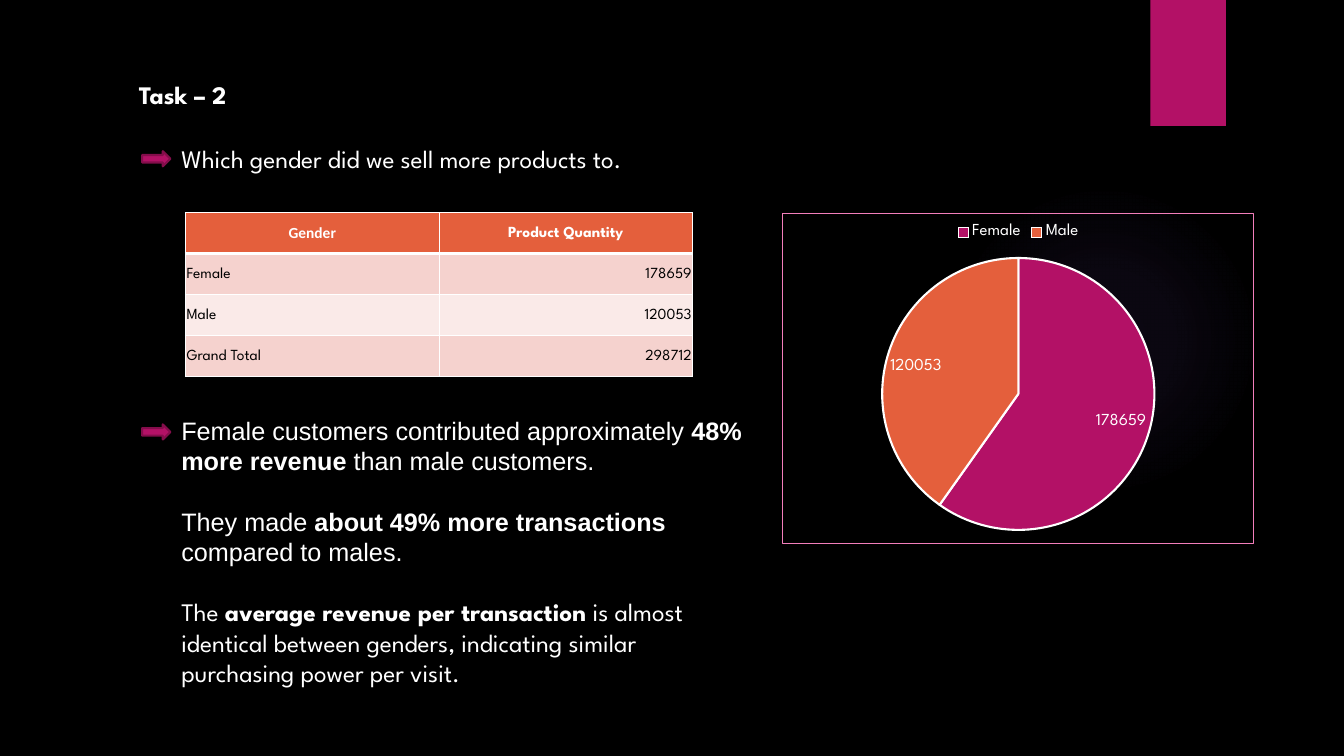
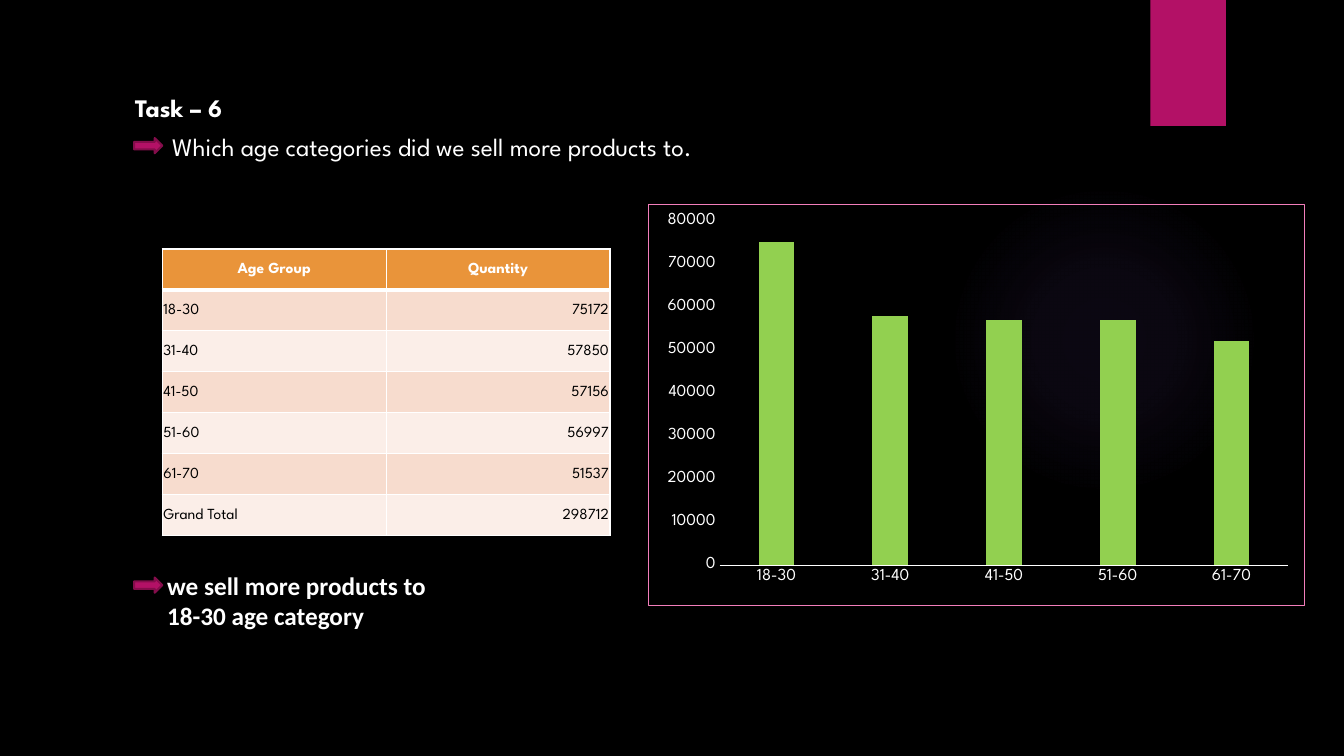
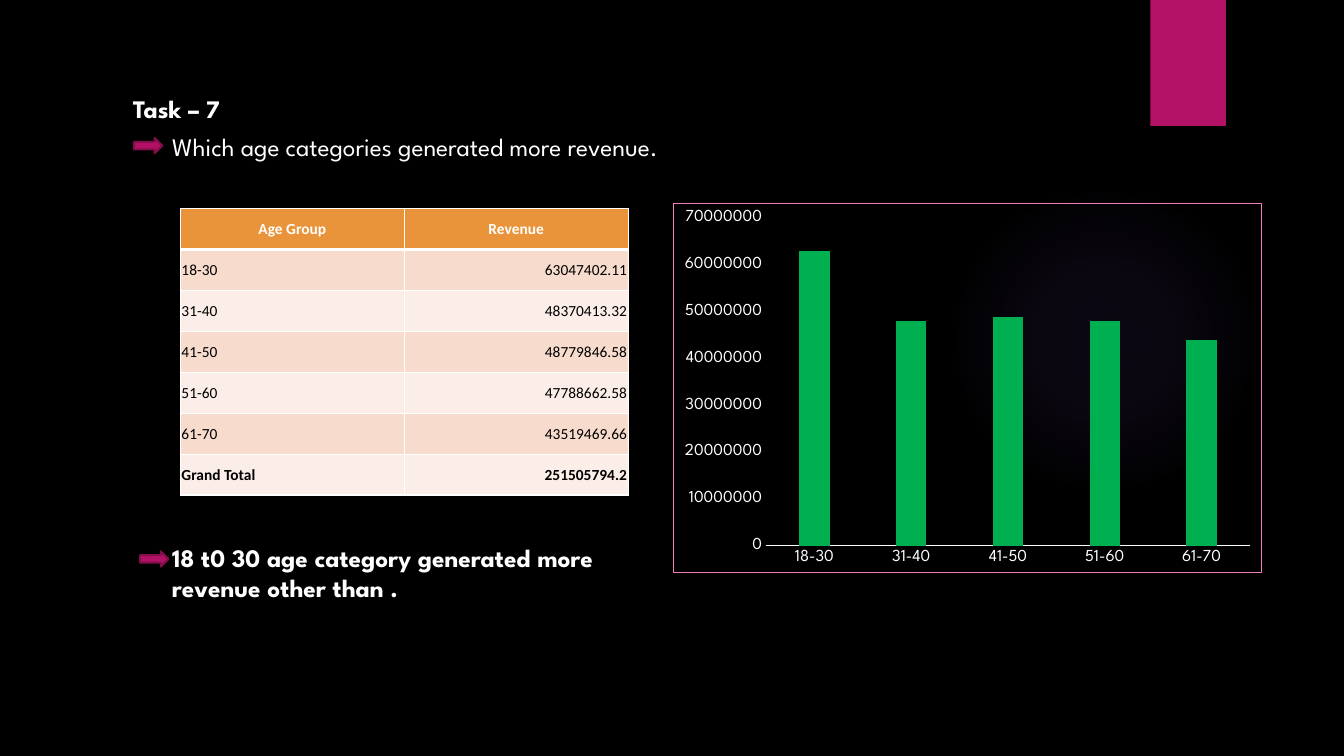
import pptx
import pptx.chart.data
import pptx.dml.color
import pptx.enum.chart
import pptx.enum.shapes
import pptx.enum.text
import pptx.oxml
import pptx.oxml.ns
import pptx.util

Inches = pptx.util.Inches
Pt = pptx.util.Pt
Shape = pptx.enum.shapes.MSO_SHAPE
Align = pptx.enum.text.PP_ALIGN
ChartType = pptx.enum.chart.XL_CHART_TYPE

COLORS = {
    "black": "000000", "white": "FFFFFF", "magenta": "B31166",
    "plum": "840D4B", "pink": "F37EBB", "violet": "9B6BF2",
    "red": "E45F3C", "red_dark": "F5D2CE", "red_light": "FAEAE8",
    "orange": "E9943A", "orange_dark": "F7DCCE", "orange_light": "FBEEE8",
    "lime": "92D050", "green": "00B050",
}
SPARTAN, CALIBRI, ARIAL = "League Spartan", "Calibri", "Arial"
AGES = ["18-30", "31-40", "41-50", "51-60", "61-70"]
ROW_HEIGHT = 0.406


def rgb(color):
    return pptx.dml.color.RGBColor.from_string(COLORS[color])


def assign(target, values):
    for name, value in values.items():
        setattr(target, name, value)


def style_font(font, size, name=SPARTAN, color="white", bold=False):
    assign(font, {"size": Pt(size), "name": name, "bold": bold})
    font.color.rgb = rgb(color)


def xml(text):
    head, rest = text.split(">", 1) if not text.split(">", 1)[0].endswith("/") else (None, None)
    return pptx.oxml.parse_xml(f"{head} {pptx.oxml.ns.nsdecls('a', 'c')}>{rest}")


def solid(color):
    return f'<a:solidFill><a:srgbClr val="{COLORS[color]}"/></a:solidFill>'


class Report:
    """Holds the deck and the slide being filled."""

    def __init__(self):
        self.deck = pptx.Presentation()
        assign(self.deck, {"slide_width": Inches(13.33), "slide_height": Inches(7.5)})
        backdrop = self.deck.slide_master.background.fill
        backdrop.solid()
        backdrop.fore_color.rgb = rgb("black")
        self.page = None

    def add_page(self, title, left, top):
        self.page = self.deck.slides.add_slide(self.deck.slide_layouts[6])
        self.glow()
        self.shape(Shape.RECTANGLE, (11.41, 0, 0.75, 1.25))
        self.text((left, top, 1.14, 0.4), [(SPARTAN, [(title, True)])], wrap=False)

    def shape(self, kind, at, line=None):
        shape = self.page.shapes.add_shape(kind, *map(Inches, at))
        shape.shadow.inherit = False
        shape.fill.solid()
        shape.fill.fore_color.rgb = rgb("magenta")
        if line:
            shape.line.color.rgb = rgb(line)
            shape.line.width = Pt(1.5)
        else:
            shape.line.fill.background()
        return shape

    def glow(self):
        """Adds the faint round gradient behind the content."""
        fill = self.shape(Shape.OVAL, (9.41, 1.83, 3.08, 3.08))._element.spPr.find(
            pptx.oxml.ns.qn("a:solidFill"))
        stops = "".join(
            f'<a:gs pos="{place * 1000}"><a:srgbClr val="{COLORS["violet"]}">'
            f'<a:alpha val="{alpha * 1000}"/></a:srgbClr></a:gs>'
            for place, alpha in ((0, 7), (36, 6), (69, 0)))
        fill.getparent().replace(fill, xml(
            f'<a:gradFill><a:gsLst>{stops}</a:gsLst><a:path path="circle">'
            '<a:fillToRect l="50000" t="50000" r="50000" b="50000"/></a:path></a:gradFill>'))

    def arrow(self, left, top):
        self.shape(Shape.RIGHT_ARROW, (left, top, 0.28, 0.15), line="plum")

    def text(self, at, paragraphs, wrap=True, pitch=None, gap=0):
        """Takes paragraphs as (font name, [(text, bold), ...])."""
        frame = self.page.shapes.add_textbox(*map(Inches, at)).text_frame
        assign(frame, {"word_wrap": wrap,
                       "auto_size": pptx.enum.text.MSO_AUTO_SIZE.SHAPE_TO_FIT_TEXT})
        for index, (name, spans) in enumerate(paragraphs):
            para = frame.add_paragraph() if index else frame.paragraphs[0]
            if pitch:
                para.line_spacing = Pt(pitch)
            if index:
                para.space_before = Pt(gap)
            for words, bold in spans:
                span = para.add_run()
                span.text = words
                style_font(span.font, 18, name, bold=bold)

    def table(self, left, top, width, rows, tone, name=SPARTAN, first_name=None,
              bold_total=False):
        """Draws two equal columns with a header and alternating rows."""
        table = self.page.shapes.add_table(
            len(rows), 2, Inches(left), Inches(top), Inches(width),
            Inches(ROW_HEIGHT * len(rows))).table
        for r, row in enumerate(rows):
            header, last = r == 0, r == len(rows) - 1
            fill = tone if header else f"{tone}_{'dark' if r % 2 else 'light'}"
            for c, words in enumerate(row):
                cell = table.cell(r, c)
                assign(cell, {
                    "margin_left": Inches(0.01), "margin_right": Inches(0.01),
                    "margin_top": Inches(0.01), "margin_bottom": 0,
                    "vertical_anchor": pptx.enum.text.MSO_ANCHOR.MIDDLE})
                cell.fill.solid()
                cell.fill.fore_color.rgb = rgb(fill)
                self.borders(cell, top=3 if r == 1 else 1, bottom=3 if header else 1)
                para = cell.text_frame.paragraphs[0]
                para.alignment = Align.CENTER if header else (Align.LEFT, Align.RIGHT)[c]
                span = para.add_run()
                span.text = words
                face = first_name if first_name and r == c == 0 else name
                style_font(span.font, 11, face, "white" if header else "black",
                           header or (last and bold_total))

    def borders(self, cell, top, bottom):
        widths = {"lnL": 1, "lnR": 1, "lnT": top, "lnB": bottom}
        for index, (side, width) in enumerate(widths.items()):
            cell._tc.get_or_add_tcPr().insert(
                index, xml(f'<a:{side} w="{Pt(width)}">{solid("white")}</a:{side}>'))

    def chart(self, kind, at, categories, values):
        data = pptx.chart.data.CategoryChartData()
        data.categories = categories
        data.add_series("Series 1", values)
        chart = self.page.shapes.add_chart(kind, *map(Inches, at), data).chart
        assign(chart, {"has_title": False, "has_legend": False})
        style_font(chart.font, 10)
        chart._chartSpace.find(pptx.oxml.ns.qn("c:chart")).addnext(xml(
            f'<c:spPr><a:noFill/><a:ln w="{Pt(0.75)}">{solid("pink")}</a:ln></c:spPr>'))
        return chart

    def pie(self, at, categories, values, colors):
        chart = self.chart(ChartType.PIE, at, categories, values)
        chart.has_legend = True
        assign(chart.legend, {"position": pptx.enum.chart.XL_LEGEND_POSITION.TOP,
                              "include_in_layout": False})
        style_font(chart.legend.font, 12)
        plot = chart.plots[0]
        for index, color in enumerate(colors):
            look = plot.series[0].points[index].format
            look.fill.solid()
            look.fill.fore_color.rgb = rgb(color)
            look.line.color.rgb = rgb("white")
            look.line.width = Pt(1.5)
        labels = plot.series[0].data_labels
        assign(labels, {"show_value": True,
                        "position": pptx.enum.chart.XL_LABEL_POSITION.BEST_FIT})
        style_font(labels.font, 12)

    def columns(self, at, values, color, top, step, inner=None):
        chart = self.chart(ChartType.COLUMN_CLUSTERED, at, AGES, values)
        plot = chart.plots[0]
        assign(plot, {"gap_width": 219, "overlap": -27, "vary_by_categories": False})
        fill = plot.series[0].format.fill
        fill.solid()
        fill.fore_color.rgb = rgb(color)
        for axis in (chart.category_axis, chart.value_axis):
            assign(axis, {"has_major_gridlines": False,
                          "major_tick_mark": pptx.enum.chart.XL_TICK_MARK.NONE,
                          "minor_tick_mark": pptx.enum.chart.XL_TICK_MARK.NONE})
            style_font(axis.tick_labels.font, 12)
        line = chart.category_axis.format.line
        line.color.rgb = rgb("white")
        line.width = Pt(0.75)
        chart.value_axis.format.line.fill.background()
        assign(chart.value_axis, {"minimum_scale": 0, "maximum_scale": top,
                                  "major_unit": step})
        if inner:
            self.place_plot(chart, inner)

    def place_plot(self, chart, inner):
        """Fixes the plot area as fractions of the chart."""
        area = chart._chartSpace.find(".//" + pptx.oxml.ns.qn("c:plotArea"))
        for layout in area.findall(pptx.oxml.ns.qn("c:layout")):
            area.remove(layout)
        modes = "".join(f'<c:{axis}Mode val="edge"/>' for axis in "xy")
        sizes = "".join(f'<c:{key} val="{value}"/>' for key, value in zip("xywh", inner))
        area.insert(0, xml('<c:layout><c:manualLayout><c:layoutTarget val="inner"/>'
                           f'{modes}{sizes}</c:manualLayout></c:layout>'))


def gender_page(report):
    report.add_page("Task – 2", 1.28, 0.74)
    report.arrow(1.41, 1.5)
    report.text((1.7, 1.37, 5.62, 0.4),
                [(SPARTAN, [("Which gender did we sell more products to.", False)])],
                wrap=False)
    report.table(1.84, 2.11, 5.03, [
        ("Gender", "Product Quantity"), ("Female", "178659"),
        ("Male", "120053"), ("Grand Total", "298712")], "red", first_name=CALIBRI)
    report.pie((7.76, 2.11, 4.68, 3.29), ["Female", "Male"], [178659, 120053],
               ["magenta", "red"])
    report.arrow(1.41, 4.21)
    report.text((1.7, 4.07, 5.78, 2.83), [
        (ARIAL, [("Female customers contributed approximately ", False),
                 ("48% more revenue", True), (" than male customers.", False)]),
        (ARIAL, [("They made ", False), ("about 49% more transactions", True),
                 (" compared to males.", False)]),
        (SPARTAN, [("The ", False), ("average revenue per transaction", True),
                   (" is almost identical between genders, indicating similar "
                    "purchasing power per visit.", False)]),
    ], pitch=21.6, gap=21.6)


def quantity_page(report):
    report.add_page("Task – 6", 1.24, 0.87)
    report.arrow(1.33, 1.37)
    report.text((1.61, 1.25, 7.61, 0.4), [
        (SPARTAN, [("Which age categories did we sell more products to.", False)])])
    quantities = ["75172", "57850", "57156", "56997", "51537"]
    report.table(1.61, 2.47, 4.44, [
        ("Age Group", "Quantity"), *zip(AGES, quantities),
        ("Grand Total", "298712")], "orange")
    report.columns((6.43, 2.02, 6.51, 3.99), [75000, 58000, 57000, 57000, 52000],
                   "lime", 80000, 10000, inner=(0.108, 0.042, 0.868, 0.858))
    report.text((1.56, 5.61, 4.5, 0.71), [
        (CALIBRI, [("we sell more products to", True)]),
        (CALIBRI, [("18-30 age category", True)])])
    report.arrow(1.33, 5.73)


def revenue_page(report):
    report.add_page("Task – 7", 1.22, 0.88)
    report.arrow(1.33, 1.37)
    report.text((1.61, 1.25, 6.19, 0.4),
                [(SPARTAN, [("Which age categories generated more revenue.", False)])],
                wrap=False)
    revenues = ["63047402.11", "48370413.32", "48779846.58", "47788662.58", "43519469.66"]
    report.table(1.79, 2.07, 4.44, [
        ("Age Group", "Revenue"), *zip(AGES, revenues),
        ("Grand Total", "251505794.2")], "orange", CALIBRI, bold_total=True)
    report.columns((6.67, 2.01, 5.85, 3.68),
                   [63000000, 48000000, 49000000, 48000000, 44000000],
                   "green", 70000000, 10000000)
    report.text((1.61, 5.33, 4.67, 0.71), [
        (SPARTAN, [("18 t0 30 age category generated more revenue other than .", True)])])
    report.arrow(1.39, 5.47)


def main():
    report = Report()
    for build in (gender_page, quantity_page, revenue_page):
        build(report)
    report.deck.save("out.pptx")


if __name__ == "__main__":
    main()
